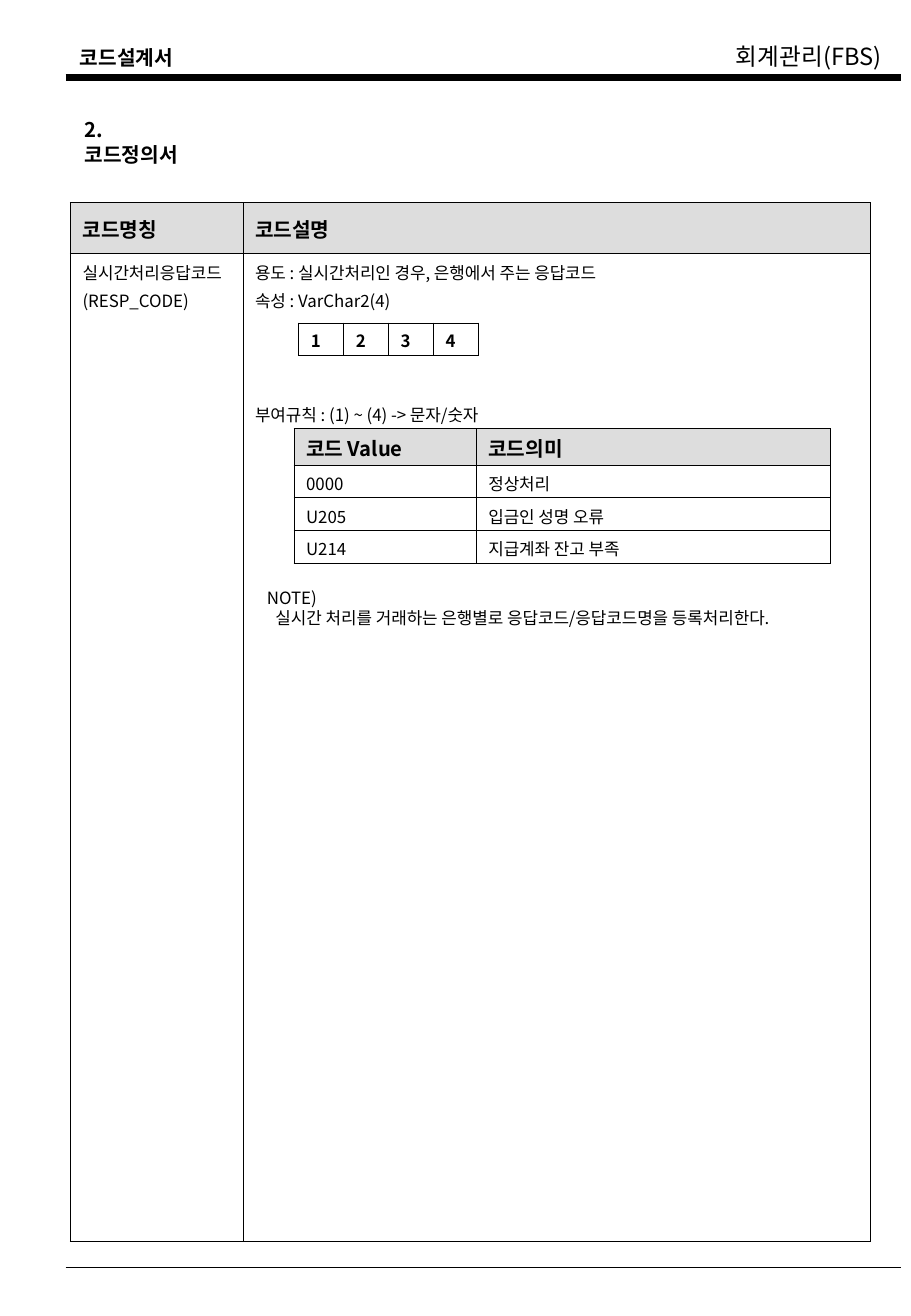
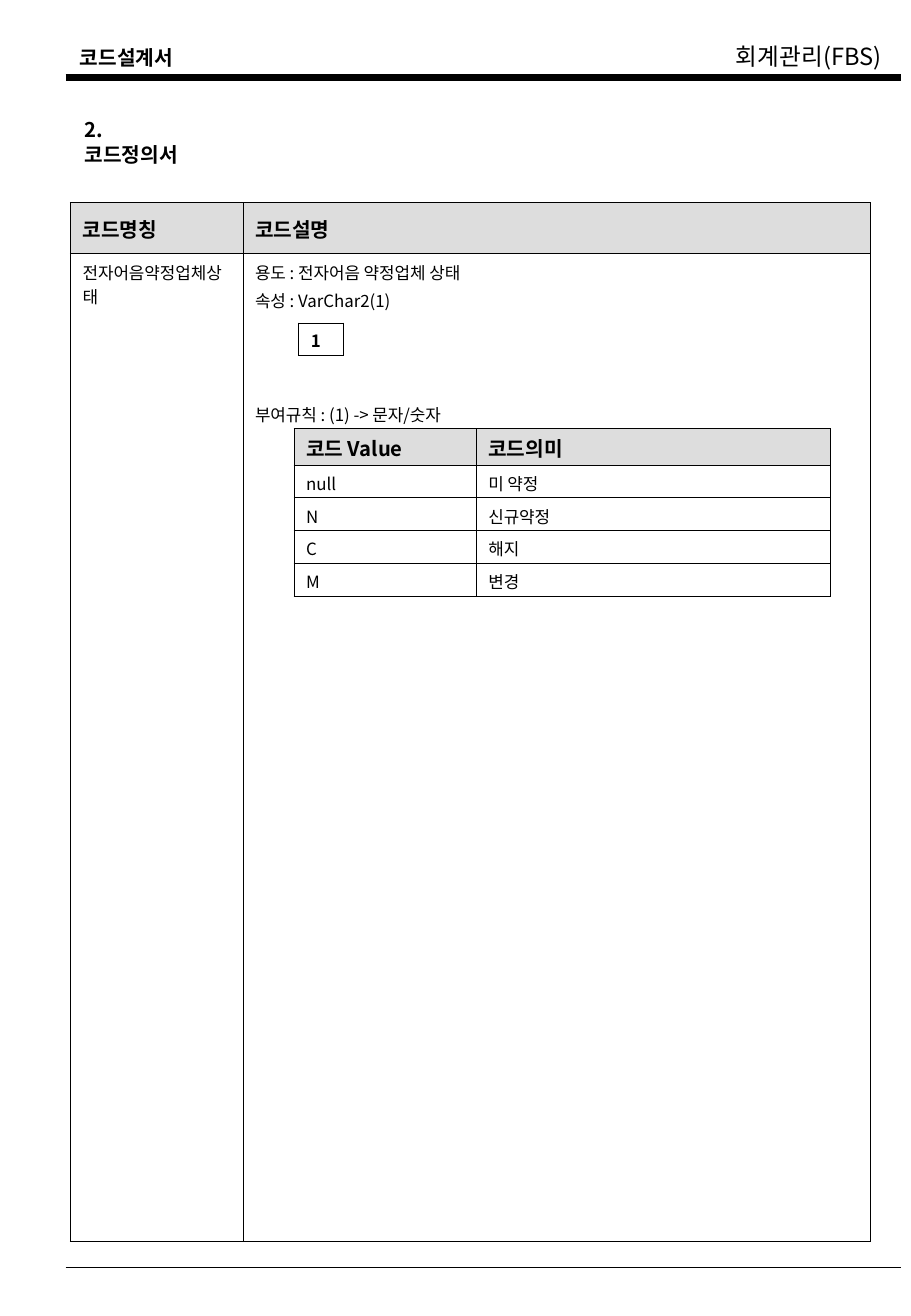
from lxml import etree
from pptx import Presentation
from pptx.dml.color import RGBColor
from pptx.enum.shapes import MSO_CONNECTOR
from pptx.enum.text import MSO_ANCHOR, MSO_AUTO_SIZE
from pptx.oxml.ns import qn
from pptx.util import Inches, Pt

LINE = MSO_CONNECTOR.STRAIGHT
TOP, MIDDLE = MSO_ANCHOR.TOP, MSO_ANCHOR.MIDDLE
GROW = MSO_AUTO_SIZE.SHAPE_TO_FIT_TEXT

FONT = "Noto Sans CJK KR"
INK, GRAY = "000000", "DDDDDD"
HEAD, BODY = 12, 10
THICK, THIN = 0.75, 0.45
GAP = 2.5
RULE_GAP = 53

CODES = [
    {
        "name": ["실시간처리응답코드", "(RESP_CODE)"],
        "use": "실시간처리인 경우, 은행에서 주는 응답코드",
        "size": 4,
        "rule": "(1) ~ (4) -> 문자/숫자",
        "values": [
            ("0000", "정상처리"),
            ("U205", "입금인 성명 오류"),
            ("U214", "지급계좌 잔고 부족"),
        ],
        "note": "실시간 처리를 거래하는 은행별로 응답코드/응답코드명을 등록처리한다.",
    },
    {
        "name": ["전자어음약정업체상태"],
        "use": "전자어음 약정업체 상태",
        "size": 1,
        "rule": "(1) -> 문자/숫자",
        "values": [
            ("null", "미 약정"),
            ("N", "신규약정"),
            ("C", "해지"),
            ("M", "변경"),
        ],
        "note": None,
    },
]


def rgb(code):
    return RGBColor.from_string(code)


def write(frame, lines, size, bold=False, gap=0):
    """Fill a text frame with one paragraph a line, and return the paragraphs."""
    for i, text in enumerate(lines):
        para = frame.add_paragraph() if i else frame.paragraphs[0]
        if i and gap:
            para.space_before = Pt(gap)
        run = para.add_run()
        run.text = text
        font = run.font
        font.size, font.bold, font.name = Pt(size), bold, FONT
        font.color.rgb = rgb(INK)
        east = etree.SubElement(run._r.get_or_add_rPr(), qn("a:ea"))
        east.set("typeface", FONT)
    return frame.paragraphs


def add_text(slide, box, lines, size, bold=False):
    frame = slide.shapes.add_textbox(*map(Inches, box)).text_frame
    frame.word_wrap = True
    frame.auto_size = GROW
    return write(frame, lines, size, bold)


def add_rule(slide, left, top, width, weight):
    ends = (left, top, left + width, top)
    rule = slide.shapes.add_connector(LINE, *map(Inches, ends))
    rule.line.color.rgb = rgb(INK)
    rule.line.width = Pt(weight)
    etree.SubElement(rule._element.spPr, qn("a:effectLst"))


def set_edges(cell, widths):
    """Draw the left, right, top and bottom borders, in that order."""
    props = cell._tc.get_or_add_tcPr()
    for i, (side, width) in enumerate(zip("LRTB", widths)):
        edge = etree.Element(qn("a:ln" + side), w=str(Pt(width)))
        fill = etree.SubElement(edge, qn("a:solidFill"))
        etree.SubElement(fill, qn("a:srgbClr"), val=INK)
        props.insert(i, edge)


def add_grid(slide, left, top, cols, rows, outer):
    """Add a plain ruled table and return it."""
    box = (left, top, sum(cols), sum(rows))
    shape = slide.shapes.add_table(len(rows), len(cols), *map(Inches, box))
    table = shape.table
    table.first_row = table.horz_banding = False
    for col, width in zip(table.columns, cols):
        col.width = Inches(width)
    for row, height in zip(table.rows, rows):
        row.height = Inches(height)
    for r in range(len(rows)):
        for c in range(len(cols)):
            cell = table.cell(r, c)
            cell.fill.background()
            sides = (c == 0, c == len(cols) - 1, r == 0, r == len(rows) - 1)
            set_edges(cell, [outer if side else THIN for side in sides])
    return table


def fill_cell(cell, lines, size=BODY, bold=False, anchor=TOP):
    cell.vertical_anchor = anchor
    cell.margin_left = cell.margin_right = Inches(0.1)
    cell.margin_top = Inches(0.05 if anchor == TOP else 0.02)
    cell.margin_bottom = Inches(0.01)
    return write(cell.text_frame, lines, size, bold, GAP)


def fill_head(table, names):
    for c, name in enumerate(names):
        cell = table.cell(0, c)
        cell.fill.solid()
        cell.fill.fore_color.rgb = rgb(GRAY)
        fill_cell(cell, [name], HEAD, True, MIDDLE)


def add_frame(slide):
    """Place the header, footer rule and section title."""
    left, width = 0.54, 6.88
    add_text(slide, (left + 0.02, 0.32, 1.4, 0.3), ["코드설계서"], HEAD, True)
    add_text(slide, (left + 5.42, 0.3, 1.52, 0.34), ["회계관리(FBS)"], 14)
    add_rule(slide, left, 0.64, width, 4.5)
    add_rule(slide, left, 10.44, width, 1)
    add_text(slide, (0.6, 0.92, 1.1, 0.5), ["2. 코드정의서"], HEAD, True)


def add_main(slide, left, top, code):
    table = add_grid(slide, left, top, [1.42, 5.17], [0.42, 8.14], THICK)
    fill_head(table, ["코드명칭", "코드설명"])
    fill_cell(table.cell(1, 0), code["name"])
    lines = [
        "용도 : " + code["use"],
        f"속성 : VarChar2({code['size']})",
        "부여규칙 : " + code["rule"],
    ]
    paras = fill_cell(table.cell(1, 1), lines)
    paras[-1].space_before = Pt(RULE_GAP)


def add_digits(slide, left, top, count):
    table = add_grid(slide, left, top, [0.37] * count, [0.27], THIN)
    for c in range(count):
        fill_cell(table.cell(0, c), [str(c + 1)], BODY, True, MIDDLE)


def add_values(slide, left, top, values):
    rows = [0.3] + [0.27] * len(values)
    table = add_grid(slide, left, top, [1.5, 2.92], rows, THIN)
    fill_head(table, ["코드 Value", "코드의미"])
    for r, pair in enumerate(values, 1):
        for c, text in enumerate(pair):
            fill_cell(table.cell(r, c), [text])


def add_note(slide, left, top, note):
    box = (left, top, 4.8, 0.44)
    paras = add_text(slide, box, ["NOTE)", note], BODY)
    paras[1]._p.get_or_add_pPr().set("marL", str(Inches(0.07)))


def add_code(deck, code):
    """Add the slide that defines one code."""
    slide = deck.slides.add_slide(deck.slide_layouts[6])
    left, top = 0.58, 1.67
    add_frame(slide)
    add_main(slide, left, top, code)
    add_values(slide, left + 1.84, top + 1.86, code["values"])
    add_digits(slide, left + 1.88, top + 0.99, code["size"])
    if code["note"]:
        add_note(slide, left + 1.52, top + 3.12, code["note"])


def main():
    deck = Presentation()
    deck.slide_width, deck.slide_height = Inches(7.5), Inches(10.84)
    for code in CODES:
        add_code(deck, code)
    deck.save("out.pptx")


if __name__ == "__main__":
    main()
